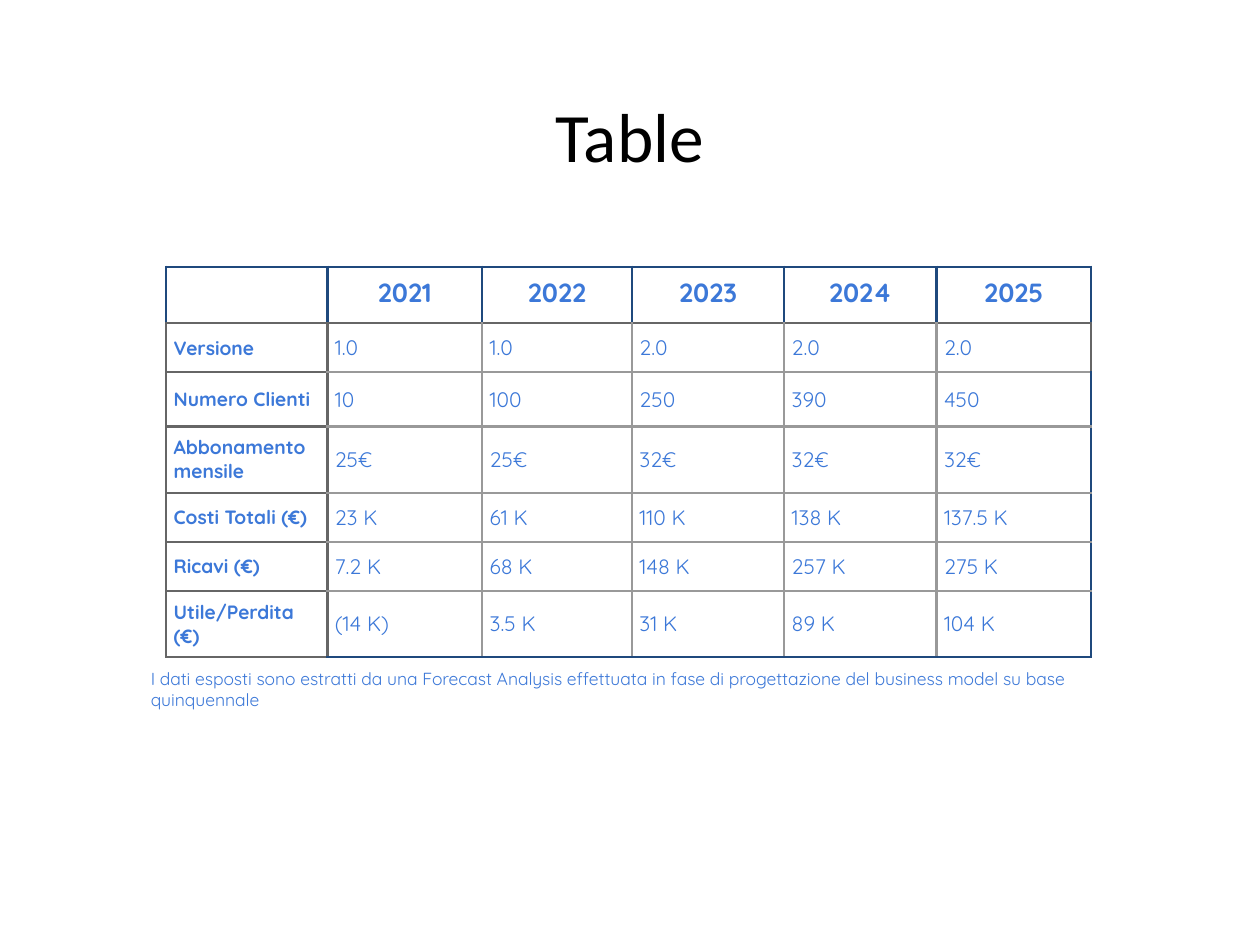
"""Build a slide with a five-year forecast table."""
from lxml import etree
from pptx import Presentation
from pptx.dml.color import RGBColor
from pptx.enum import text
from pptx.oxml import ns
from pptx.util import Cm, Pt

BLACK = RGBColor(0x00, 0x00, 0x00)
BLUE = RGBColor(0x3C, 0x78, 0xD8)
NAVY = RGBColor(0x1F, 0x49, 0x7D)
DARK = RGBColor(0x66, 0x66, 0x66)
GREY = RGBColor(0x99, 0x99, 0x99)

WIDTHS = (3.25, 3.12, 3.02, 3.07, 3.07, 3.12)
HEIGHTS = (0.97, 0.99, 1.09, 1.24, 0.99, 0.99, 0.99)
ROWS = (
    ("", "2021", "2022", "2023", "2024", "2025"),
    ("Versione", "1.0", "1.0", "2.0", "2.0", "2.0"),
    ("Numero Clienti", "10", "100", "250", "390", "450"),
    ("Abbonamento mensile", "25€", "25€", "32€", "32€", "32€"),
    ("Costi Totali (€)", "23 K", "61 K", "110 K", "138 K", "137.5 K"),
    ("Ricavi (€)", "7.2 K", "68 K", "148 K", "257 K", "275 K"),
    ("Utile/Perdita (€)", "(14 K)", "3.5 K", "31 K", "89 K", "104 K"),
)


def add_run(para, words, size, color=BLUE, bold=False, face="Quicksand"):
    """Add one formatted run to a paragraph."""
    run = para.add_run()
    run.text = words
    font = run.font
    font.name, font.size, font.bold = face, Pt(size), bold
    font.color.rgb = color


def add_title(slide, words):
    """Place and fill the title placeholder."""
    title = slide.shapes.title
    title.left, title.top = Cm(0.86), Cm(1.65)
    title.width, title.height = Cm(23.67), Cm(2.13)
    frame = title.text_frame
    frame.vertical_anchor = text.MSO_ANCHOR.MIDDLE
    frame.auto_size = text.MSO_AUTO_SIZE.NONE
    frame.margin_left = frame.margin_right = Cm(0.25)
    frame.margin_top = frame.margin_bottom = Cm(0.25)
    para = frame.paragraphs[0]
    para.alignment = text.PP_ALIGN.CENTER
    add_run(para, words, 39.6, BLACK, face="Calibri")


def pick_edges(row, col):
    """Return the left, right, top and bottom border colours of a cell."""
    last_row, last_col = row == len(ROWS) - 1, col == len(WIDTHS) - 1
    if row == 0:
        return NAVY, NAVY, NAVY, DARK
    if col == 0:
        return DARK, DARK, DARK, DARK
    left = DARK if col == 1 else GREY
    top = DARK if row == 1 else GREY
    right = GREY
    if last_col:
        right = DARK if row == 1 else NAVY
    return left, right, top, NAVY if last_row else GREY


def draw_edges(cell, colors):
    """Draw the four borders of a cell."""
    props = cell._tc.get_or_add_tcPr()
    for side, color in zip("LRTB", colors):
        line = etree.SubElement(props, ns.qn(f"a:ln{side}"), w=str(Pt(1.5)))
        fill = etree.SubElement(line, ns.qn("a:solidFill"))
        etree.SubElement(fill, ns.qn("a:srgbClr"), val=str(color))


def fill_cell(cell, row, col, words):
    """Format one cell and write its text."""
    draw_edges(cell, pick_edges(row, col))
    cell.fill.background()
    cell.margin_left = cell.margin_right = Cm(0.15)
    cell.margin_top = cell.margin_bottom = Cm(0.18)
    para = cell.text_frame.paragraphs[0]
    if row == 0:
        para.alignment = text.PP_ALIGN.CENTER
        size = 15
    else:
        cell.vertical_anchor = text.MSO_ANCHOR.MIDDLE
        size = 11 if col == 0 else 12
    if words:
        add_run(para, words, size, bold=row == 0 or col == 0)


def add_grid(slide):
    """Add the forecast table."""
    frame = slide.shapes.add_table(
        len(ROWS), len(WIDTHS), Cm(3.35), Cm(5.38),
        Cm(sum(WIDTHS)), Cm(sum(HEIGHTS)))
    table = frame.table
    table.first_row = table.horz_banding = False
    for col, width in zip(table.columns, WIDTHS):
        col.width = Cm(width)
    for row, height in zip(table.rows, HEIGHTS):
        row.height = Cm(height)
    for row, line in enumerate(ROWS):
        for col, words in enumerate(line):
            fill_cell(table.cell(row, col), row, col, words)


def add_note(slide, words):
    """Add the note below the table."""
    box = slide.shapes.add_textbox(Cm(2.79), Cm(13.34), Cm(19.79), Cm(0.69))
    frame = box.text_frame
    frame.word_wrap = True
    frame.auto_size = text.MSO_AUTO_SIZE.SHAPE_TO_FIT_TEXT
    add_run(frame.paragraphs[0], words, 10)


def main():
    """Build and save the deck."""
    deck = Presentation()
    deck.slide_width, deck.slide_height = Cm(25.4), Cm(19.05)
    slide = deck.slides.add_slide(deck.slide_layouts[5])
    add_title(slide, "Table")
    add_grid(slide)
    add_note(slide, "I dati esposti sono estratti da una Forecast Analysis "
             "effettuata in fase di progettazione del business model "
             "su base quinquennale")
    deck.save("out.pptx")


if __name__ == "__main__":
    main()
